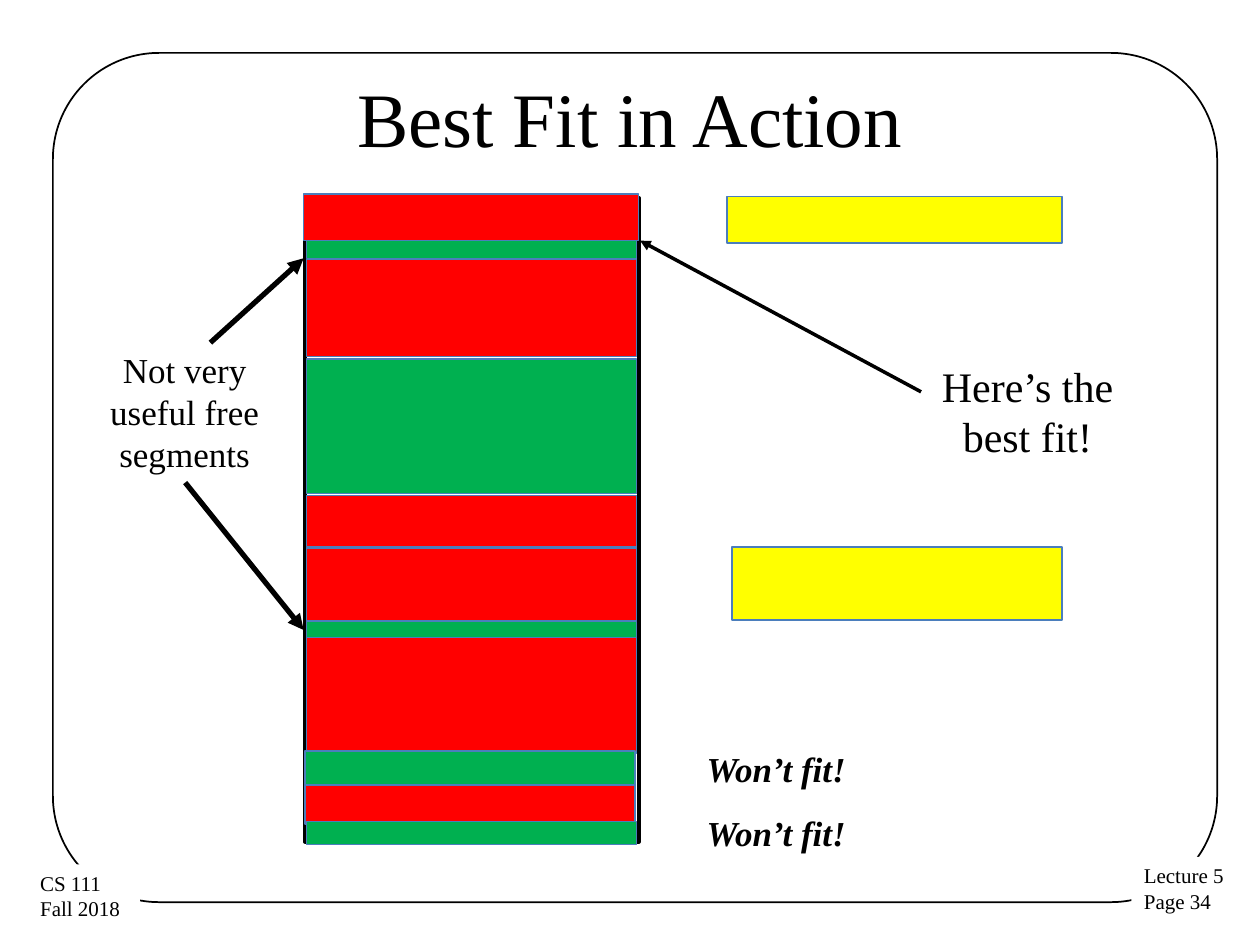
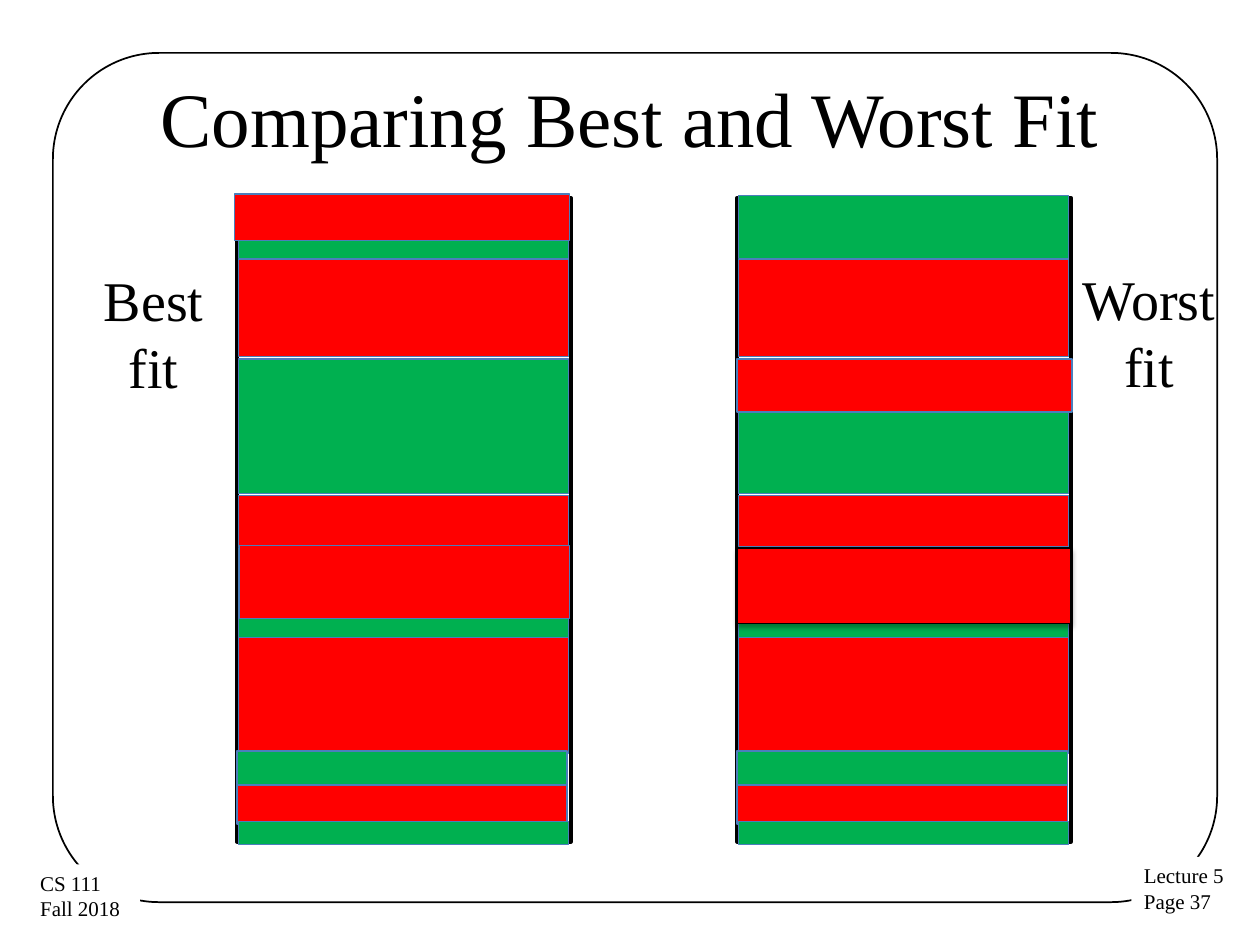
from lxml.etree import SubElement
from pptx import Presentation
from pptx.dml.color import RGBColor
from pptx.enum.shapes import MSO_CONNECTOR, MSO_SHAPE
from pptx.enum.text import MSO_ANCHOR, MSO_AUTO_SIZE, PP_ALIGN
from pptx.oxml.ns import qn
from pptx.util import Inches, Pt

FONT = "Times New Roman"
BLACK = RGBColor(0x00, 0x00, 0x00)
WHITE = RGBColor(0xFF, 0xFF, 0xFF)
USED = RGBColor(0xFF, 0x00, 0x00)
FREE = RGBColor(0x00, 0xB0, 0x50)
REQUEST = RGBColor(0xFF, 0xFF, 0x00)
EDGE = RGBColor(0x4B, 0x7E, 0xBC)

MEMORY_LEFT = 2.42
MEMORY_WIDTH = 2.65
SEGMENT_WIDTH = 2.62
SEGMENTS = [
    (0.01, 2.06, 0.77, USED),
    (0.01, 1.55, 0.5, FREE),
    (0.01, 2.85, 1.07, FREE),
    (0.01, 3.93, 0.41, USED),
    (0.01, 4.35, 0.71, FREE),
    (0.01, 5.06, 0.92, USED),
    (0, 5.96, 0.31, FREE),
    (0, 6.23, 0.31, USED),
    (0.01, 6.52, 0.18, FREE),
]


def write(frame, text, size=20, align=PP_ALIGN.LEFT, anchor=MSO_ANCHOR.TOP,
          wrap=True, fit=MSO_AUTO_SIZE.SHAPE_TO_FIT_TEXT, bold=False, italic=False):
    frame.text = text
    frame.word_wrap = wrap
    frame.auto_size = fit
    frame.vertical_anchor = anchor
    for paragraph in frame.paragraphs:
        paragraph.alignment = align
        for run in paragraph.runs:
            run.font.name = FONT
            run.font.size = Pt(size)
            run.font.bold = bold
            run.font.italic = italic
            run.font.color.rgb = BLACK


class Lecture:
    def __init__(self):
        self.deck = Presentation()
        self.deck.slide_width = Inches(10)
        self.deck.slide_height = Inches(7.5)
        self.slide = None

    def start(self, title, page):
        self.slide = self.deck.slides.add_slide(self.deck.slide_layouts[5])
        heading = self.slide.shapes.title
        heading.left, heading.top = Inches(0.5), Inches(0.3)
        heading.width, heading.height = Inches(9), Inches(1.25)
        write(heading.text_frame, title, size=44, align=PP_ALIGN.CENTER,
              anchor=MSO_ANCHOR.MIDDLE, fit=MSO_AUTO_SIZE.NONE)
        frame = self.box(0.42, 0.42, 9.24, 6.74, line=BLACK, weight=1,
                         kind=MSO_SHAPE.ROUNDED_RECTANGLE)
        frame.adjustments[0] = 0.125
        self.footer(8.98, 6.8, 0.85, f"Lecture 5\nPage {page}")
        self.footer(0.22, 6.86, 0.89, "CS 111\nFall 2018")

    def box(self, left, top, width, height, fill=None, line=None, weight=0.75,
            kind=MSO_SHAPE.RECTANGLE, group=None):
        shapes = (group or self.slide).shapes
        shape = shapes.add_shape(kind, Inches(left), Inches(top),
                                 Inches(width), Inches(height))
        shape.shadow.inherit = False
        if fill is None:
            shape.fill.background()
        else:
            shape.fill.solid()
            shape.fill.fore_color.rgb = fill
        if line is None:
            shape.line.fill.background()
        else:
            shape.line.color.rgb = line
            shape.line.width = Pt(weight)
        return shape

    def footer(self, left, top, width, text):
        patch = self.box(left, top, width, 0.51, fill=WHITE)
        write(patch.text_frame, text, size=12, wrap=False)

    def label(self, left, top, width, height, text, **style):
        area = self.slide.shapes.add_textbox(Inches(left), Inches(top),
                                             Inches(width), Inches(height))
        write(area.text_frame, text, **style)

    def segment(self, left, top, height, fill, width=SEGMENT_WIDTH, line=EDGE, group=None):
        return self.box(left, top, width, height, fill, line, group=group)

    def memory(self, left, group=None):
        self.box(left, 1.57, MEMORY_WIDTH, 5.11, line=BLACK, weight=2.25, group=group)
        for offset, top, height, fill in SEGMENTS:
            self.segment(left + offset, top, height, fill, group=group)

    def memory_group(self, left):
        group = self.slide.shapes.add_group_shape()
        self.memory(left, group)
        return group

    def arrow(self, start, tip, weight):
        arrow = self.slide.shapes.add_connector(
            MSO_CONNECTOR.STRAIGHT, *(Inches(value) for value in (*start, *tip)))
        arrow.line.color.rgb = BLACK
        arrow.line.width = Pt(weight)
        SubElement(arrow.line._get_or_add_ln(), qn("a:tailEnd"), type="triangle")
        SubElement(arrow._element.spPr, qn("a:effectLst"))

    def cast_shadow(self, shape):
        effects = shape._element.spPr.find(qn("a:effectLst"))
        shadow = SubElement(effects, qn("a:outerShdw"), blurRad=str(Pt(3.1)),
                            dist=str(Pt(1.8)), dir="5400000", rotWithShape="0")
        color = SubElement(shadow, qn("a:srgbClr"), val=str(BLACK))
        SubElement(color, qn("a:alpha"), val="35000")


def best_fit_in_action(lecture):
    lecture.start("Best Fit in Action", 34)
    lecture.memory(MEMORY_LEFT)
    lecture.segment(5.77, 1.56, 0.37, REQUEST, width=2.66)
    for top in (5.88, 6.39):
        lecture.label(5.51, top, 1.31, 0.44, "Won’t fit!", wrap=False,
                      bold=True, italic=True)
    lecture.segment(2.41, 1.54, 0.37, USED, width=2.66)
    lecture.segment(5.81, 4.34, 0.58, REQUEST)
    lecture.segment(2.43, 4.35, 0.58, USED)
    lecture.arrow((1.67, 2.72), (2.41, 2.05), 3)
    lecture.arrow((1.47, 3.83), (2.41, 5), 3)
    lecture.label(0.67, 2.72, 1.59, 1.11, "Not very useful free segments",
                  align=PP_ALIGN.CENTER)
    lecture.arrow((7.31, 3.11), (5.08, 1.91), 2)
    lecture.label(7.37, 2.81, 1.57, 0.91, "Here’s the best fit!", size=24,
                  align=PP_ALIGN.CENTER)


def comparing_fits(lecture):
    lecture.start("Comparing Best and Worst Fit", 37)
    best = lecture.memory_group(1.88)
    lecture.segment(1.86, 1.54, 0.37, USED, width=2.66, group=best)
    lecture.segment(1.9, 4.33, 0.58, USED, group=best)
    worst = lecture.memory_group(5.85)
    lecture.segment(5.85, 2.85, 0.42, USED, width=2.66, group=worst)
    placed = lecture.segment(5.85, 4.35, 0.6, USED, width=MEMORY_WIDTH,
                             line=BLACK, group=worst)
    lecture.cast_shadow(placed)
    lecture.label(0.67, 2.06, 1.1, 1.18, "Best fit", size=32, align=PP_ALIGN.CENTER)
    lecture.label(8.47, 2.05, 1.3, 1.18, "Worst fit", size=32, align=PP_ALIGN.CENTER)


def main():
    lecture = Lecture()
    best_fit_in_action(lecture)
    comparing_fits(lecture)
    lecture.deck.save("out.pptx")


if __name__ == "__main__":
    main()
